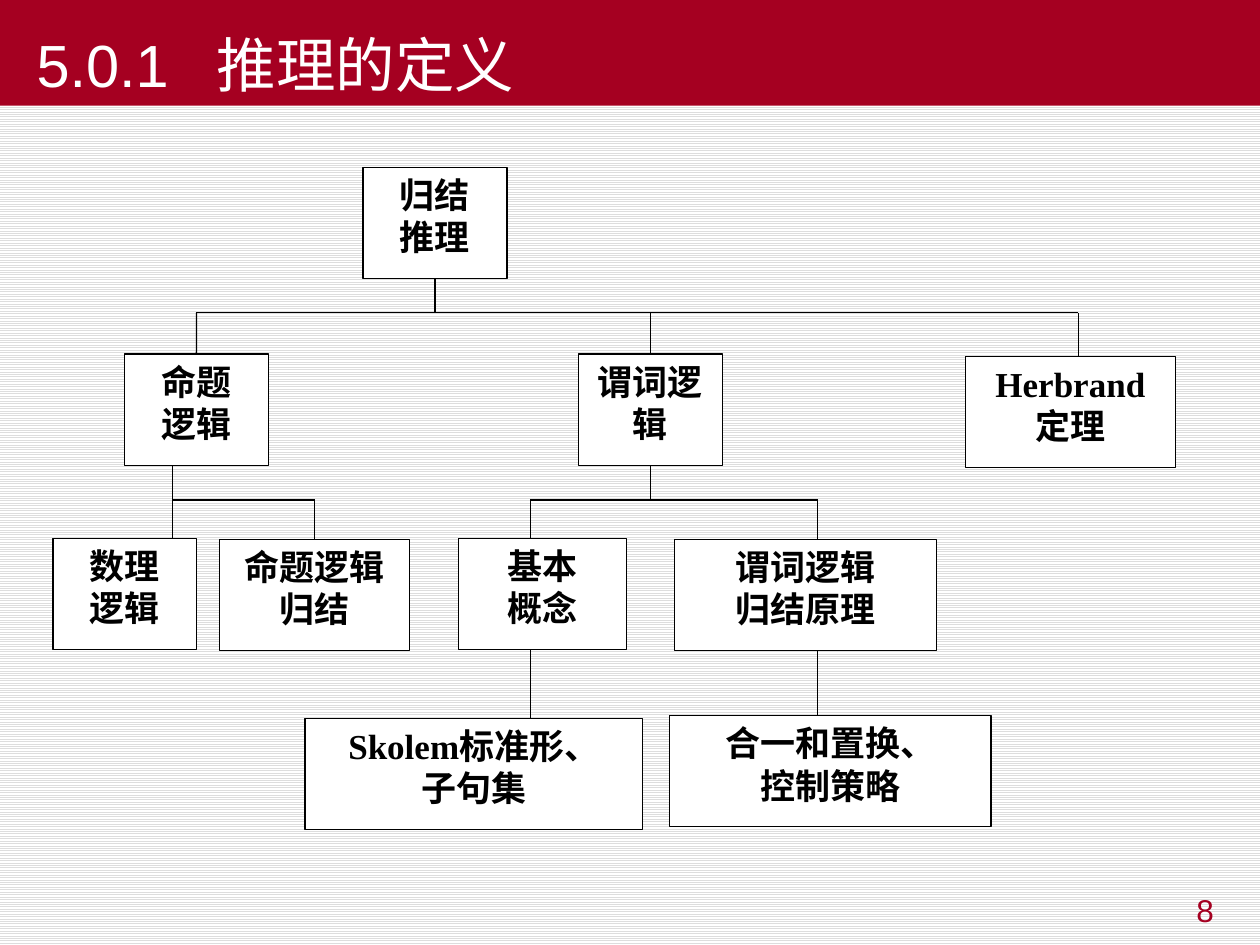
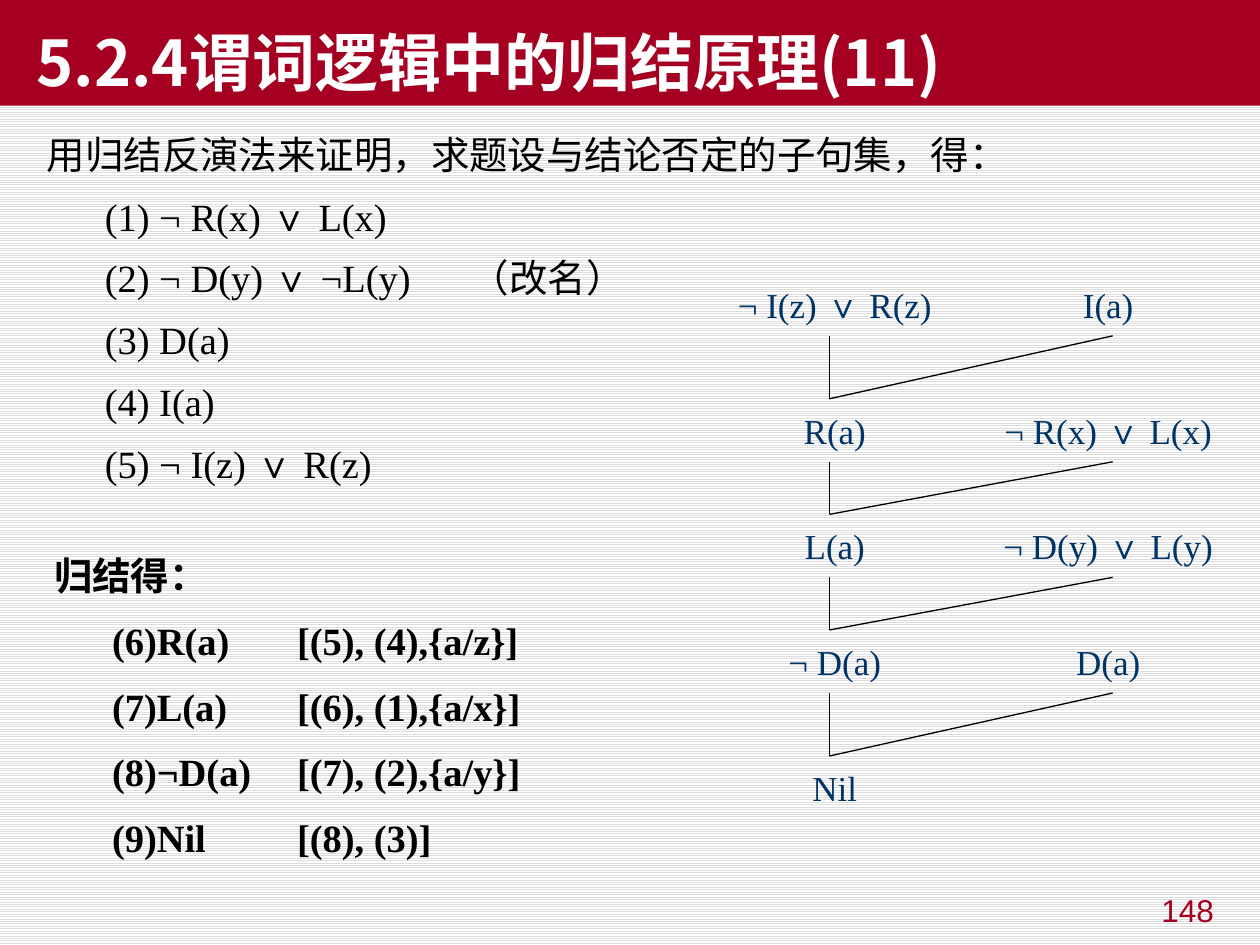
"""Build two lecture slides on resolution reasoning: a topic tree and a refutation proof."""
from dataclasses import dataclass

from lxml import etree
from pptx import Presentation
from pptx import util as u
from pptx.dml.color import RGBColor
from pptx.enum import dml, shapes, text
from pptx.oxml.ns import qn


@dataclass(frozen=True)
class Theme:
    band: str = "A50021"
    white: str = "FFFFFF"
    ink: str = "000000"
    label: str = "003366"
    stripe: str = "DDDDDD"
    sans: str = "Arial"
    cjk: str = "Noto Sans CJK SC"
    serif: str = "Times New Roman"
    title_size: int = 34
    long_title_size: int = 36
    list_size: int = 22
    node_size: int = 20
    page_size: int = 18
    rule: float = 0.75


THEME = Theme()
ALIGN = text.PP_ALIGN
ANCHOR = text.MSO_ANCHOR

NODE_HEIGHT = 2.24
TOPICS = {
    "resolution": ("归结\n推理", 7.32, 3.38, 2.9),
    "propositional": ("命题\n逻辑", 2.51, 7.14, 2.9),
    "predicate": ("谓词逻\n辑", 11.66, 7.14, 2.9),
    "herbrand": ("Herbrand\n定理", 19.46, 7.19, 4.24),
    "mathematical": ("数理\n逻辑", 1.07, 10.85, 2.9),
    "propositional resolution": ("命题逻辑\n归结", 4.42, 10.88, 3.84),
    "concepts": ("基本\n概念", 9.25, 10.85, 3.38),
    "predicate resolution": ("谓词逻辑\n归结原理", 13.6, 10.88, 5.28),
    "skolem": ("Skolem标准形、\n子句集", 6.15, 14.48, 6.81),
    "unification": ("合一和置换、\n控制策略", 13.5, 14.43, 6.48),
}
BRANCHES = [
    ("resolution", 8.77, 6.3, {"propositional": 3.96, "predicate": 13.11, "herbrand": 21.74}),
    ("propositional", 3.48, 10.08, {"mathematical": 3.48, "propositional resolution": 6.34}),
    ("predicate", 13.11, 10.08, {"concepts": 10.69, "predicate resolution": 16.48}),
]
LEAVES = [("concepts", "skolem", 10.69), ("predicate resolution", "unification", 16.48)]

CLAUSES = [
    "用归结反演法来证明，求题设与结论否定的子句集，得：",
    "(1) ¬ R(x) ∨ L(x)",
    "(2) ¬ D(y) ∨ ¬L(y)\t（改名）",
    "(3) D(a)",
    "(4) I(a)",
    "(5) ¬ I(z) ∨ R(z)",
]
RESULTS = [
    "归结得：",
    "(6)R(a)\t[(5), (4),{a/z}]",
    "(7)L(a)\t[(6), (1),{a/x}]",
    "(8)¬D(a)\t[(7), (2),{a/y}]",
    "(9)Nil\t[(8), (3)]",
]
PROOF = [
    (5.5, "¬ I(z) ∨ R(z)", "I(a)"),
    (8.04, "R(a)", "¬ R(x) ∨ L(x)"),
    (10.37, "L(a)", "¬ D(y) ∨ L(y)"),
    (12.7, "¬ D(a)", "D(a)"),
    (15.24, "Nil", None),
]
PROOF_COLUMNS = (14.39, 19.9)
PROOF_LINES = (16.72, 22.43)
LABEL_SIZE = (4.88, 1.27)
ITEM_INDENT = 1.17


def rgb(value):
    return RGBColor.from_string(value)


def box(*lengths):
    return [u.Cm(length) for length in lengths]


def write(frame, content, size, color, font=THEME.serif, bold=False, align=ALIGN.LEFT):
    frame.text = content
    frame.auto_size = text.MSO_AUTO_SIZE.NONE
    east_asian = THEME.sans if font == THEME.serif else font
    for paragraph in frame.paragraphs:
        paragraph.alignment = align
        for run in paragraph.runs:
            run.font.size = u.Pt(size)
            run.font.bold = bold
            run.font.color.rgb = rgb(color)
            run.font.name = font
            etree.SubElement(run._r.get_or_add_rPr(), qn("a:ea"), typeface=east_asian)


def set_tabs(paragraph, *stops):
    properties = paragraph._p.get_or_add_pPr()
    tabs = etree.SubElement(properties, qn("a:tabLst"))
    for stop in stops:
        etree.SubElement(tabs, qn("a:tab"), pos=str(u.Cm(stop)), algn="l")


def write_list(frame, heading, items, gap, tab, bold=False):
    lines = [heading] + ["\t" + item for item in items]
    write(frame, "\n".join(lines), THEME.list_size, THEME.ink, bold=bold)
    frame.word_wrap = True
    for number, paragraph in enumerate(frame.paragraphs):
        paragraph.space_before = u.Pt(gap if number else 0)
        set_tabs(paragraph, ITEM_INDENT, tab)


def place(shape, *lengths):
    shape.left, shape.top, shape.width, shape.height = box(*lengths)


def prepare_master(master):
    backdrop = master.background.fill
    backdrop.patterned()
    backdrop.pattern = dml.MSO_PATTERN.LIGHT_HORIZONTAL
    backdrop.fore_color.rgb = rgb(THEME.stripe)
    backdrop.back_color.rgb = rgb(THEME.white)
    level = master.element.find(".//" + qn("p:bodyStyle") + "/" + qn("a:lvl1pPr"))
    level.set("marL", "0")
    level.attrib.pop("indent", None)
    for tag in ("a:buFont", "a:buChar"):
        for bullet in level.findall(qn(tag)):
            level.remove(bullet)
    level.find(qn("a:defRPr")).addprevious(etree.Element(qn("a:buNone")))


def add_page(presentation, layout, title, page, font, size, bold=False):
    slide = presentation.slides.add_slide(presentation.slide_layouts.get_by_name(layout))
    band = slide.shapes.title
    place(band, 0, 0, 25.4, 2.13)
    band.fill.solid()
    band.fill.fore_color.rgb = rgb(THEME.band)
    write(band.text_frame, title, size, THEME.white, font, bold)
    band.text_frame.vertical_anchor = ANCHOR.BOTTOM
    band.text_frame.margin_left = u.Cm(0.74)
    set_tabs(band.text_frame.paragraphs[0], 3.63)
    number = slide.shapes.add_textbox(*box(18.8, 17.83, 5.92, 1.32))
    write(number.text_frame, page, THEME.page_size, THEME.band, THEME.sans, align=ALIGN.RIGHT)
    return slide


def add_line(slide, start, end):
    connector = slide.shapes.add_connector(shapes.MSO_CONNECTOR.STRAIGHT, *start, *end)
    connector.line.color.rgb = rgb(THEME.ink)
    connector.line.width = u.Pt(THEME.rule)
    etree.SubElement(connector._element.spPr, qn("a:effectLst"))
    return connector


def is_middle(shape, x):
    return abs(shape.left + shape.width // 2 - x) < u.Cm(0.05)


def add_drop(slide, x, top, bottom, upper=None, lower=None):
    connector = add_line(slide, (x, top), (x, bottom))
    if upper and is_middle(upper, x):
        connector.begin_connect(upper, 2)
    if lower and is_middle(lower, x):
        connector.end_connect(lower, 0)


def add_topic(slide, name, left, top, width):
    shape = slide.shapes.add_shape(
        shapes.MSO_SHAPE.RECTANGLE, *box(left, top, width, NODE_HEIGHT))
    shape.shadow.inherit = False
    shape.fill.solid()
    shape.fill.fore_color.rgb = rgb(THEME.white)
    shape.line.color.rgb = rgb(THEME.ink)
    shape.line.width = u.Pt(THEME.rule)
    frame = shape.text_frame
    write(frame, name, THEME.node_size, THEME.ink, bold=True, align=ALIGN.CENTER)
    frame.vertical_anchor = ANCHOR.TOP
    frame.margin_left = frame.margin_right = 0
    return shape


def add_topic_tree(slide):
    nodes = {key: add_topic(slide, *topic) for key, topic in TOPICS.items()}
    for parent, stem, bar, children in BRANCHES:
        upper = nodes[parent]
        y = u.Cm(bar)
        add_drop(slide, u.Cm(stem), upper.top + upper.height, y, upper=upper)
        drops = box(*children.values())
        add_line(slide, (min(drops), y), (max(drops), y))
        for child, x in zip(children, drops):
            add_drop(slide, x, y, nodes[child].top, lower=nodes[child])
    for parent, child, x in LEAVES:
        upper, lower = nodes[parent], nodes[child]
        add_drop(slide, u.Cm(x), upper.top + upper.height, lower.top, upper, lower)


def add_label(slide, left, top, formula):
    label = slide.shapes.add_textbox(*box(left, top, *LABEL_SIZE))
    write(label.text_frame, formula, THEME.node_size, THEME.label, align=ALIGN.CENTER)
    label.text_frame.word_wrap = False
    label.text_frame.vertical_anchor = ANCHOR.MIDDLE


def add_proof(slide):
    for top, *formulas in PROOF:
        for left, formula in zip(PROOF_COLUMNS, formulas):
            if formula:
                add_label(slide, left, top, formula)
    for (top, *_), (next_top, *_) in zip(PROOF, PROOF[1:]):
        for x in PROOF_LINES:
            add_line(slide, box(x, top + LABEL_SIZE[1]), box(PROOF_LINES[0], next_top))


def main():
    presentation = Presentation()
    presentation.slide_width, presentation.slide_height = box(25.4, 19.05)
    prepare_master(presentation.slide_master)

    tree = add_page(presentation, "Title Only", "5.0.1\t推理的定义", "8",
                    THEME.sans, THEME.title_size)
    add_topic_tree(tree)

    proof = add_page(presentation, "Title and Content", "5.2.4谓词逻辑中的归结原理(11)", "148",
                     THEME.cjk, THEME.long_title_size, bold=True)
    body = proof.placeholders[1]
    place(body, 0.69, 2.51, 24, 6.91)
    write_list(body.text_frame, CLAUSES[0], CLAUSES[1:], gap=8.9, tab=8.55)
    results = proof.shapes.add_textbox(*box(0.84, 11, 12.7, 6.78))
    write_list(results.text_frame, RESULTS[0], RESULTS[1:], gap=11, tab=4.9, bold=True)
    add_proof(proof)
    presentation.save("out.pptx")


if __name__ == "__main__":
    main()
